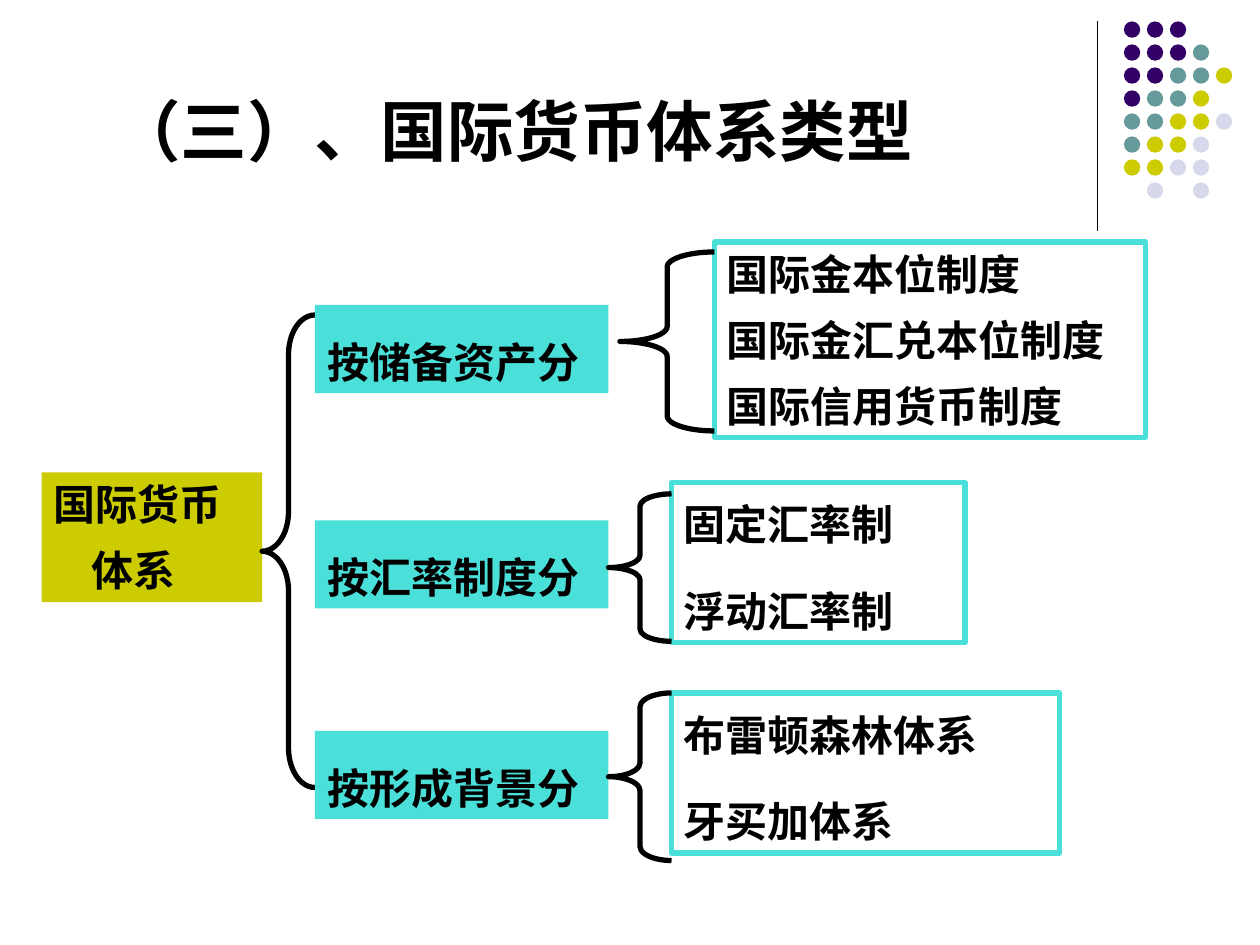
from lxml import etree
from pptx import Presentation
from pptx.dml.color import RGBColor
from pptx.enum.shapes import MSO_CONNECTOR, MSO_SHAPE
from pptx.enum.text import MSO_ANCHOR, MSO_AUTO_SIZE, PP_ALIGN
from pptx.oxml.ns import qn
from pptx.util import Inches, Pt

RECT, OVAL, BRACE = MSO_SHAPE.RECTANGLE, MSO_SHAPE.OVAL, MSO_SHAPE.LEFT_BRACE
STRAIGHT = MSO_CONNECTOR.STRAIGHT
TOP, BOTTOM = MSO_ANCHOR.TOP, MSO_ANCHOR.BOTTOM
GROW = MSO_AUTO_SIZE.SHAPE_TO_FIT_TEXT
LEFT, JUSTIFY = PP_ALIGN.LEFT, PP_ALIGN.JUSTIFY

BLACK = RGBColor(0x00, 0x00, 0x00)
PURPLE = RGBColor(0x33, 0x00, 0x66)
TEAL = RGBColor(0x66, 0x99, 0x99)
OLIVE = RGBColor(0xCC, 0xCC, 0x00)
LAVENDER = RGBColor(0xD8, 0xD8, 0xEC)
TURQUOISE = RGBColor(0x4A, 0xE0, 0xD9)

CJK_FONT = "Noto Sans CJK SC"
BODY_FONT = "Times New Roman"
DOT_COLORS = {"P": PURPLE, "T": TEAL, "O": OLIVE, "L": LAVENDER}
DOT_ROWS = ["PPP", "PPPT", "PPTTO", "PTTO", "TTOOL", "TOOL", "OOLL", ".L.L"]
BRANCHES = [
    ("按储备资产分", 2.42, (5.67, 1.92, 3.42, 1.55), (4.92, 2, 0.75, 1.42),
     ["国际金本位制度", "国际金汇兑本位制度", "国际信用货币制度"], 1, 9),
    ("按汇率制度分", 4.13, (5.33, 3.83, 2.33, 1.27), (4.83, 3.92, 0.5, 1.17),
     ["固定汇率制", "浮动汇率制"], 1.2, 15),
    ("按形成背景分", 5.8, (5.33, 5.5, 3.08, 1.27), (4.83, 5.5, 0.5, 1.33),
     ["布雷顿森林体系", "牙买加体系"], 1.2, 15),
]


class Deck:
    """Holds the shared style and the current slide."""

    def __init__(self):
        self.prs = Presentation()
        self.prs.slide_width, self.prs.slide_height = Inches(10), Inches(7.5)
        self.s = self.prs.slides.add_slide(self.prs.slide_layouts[6])

    def shape(self, kind, box, fill=None, line=None):
        sp = self.s.shapes.add_shape(kind, *map(Inches, box))
        sp.shadow.inherit = False
        if fill is None:
            sp.fill.background()
        else:
            sp.fill.solid()
            sp.fill.fore_color.rgb = fill
        if line is None:
            sp.line.fill.background()
        else:
            sp.line.color.rgb = line
            sp.line.width = Pt(3)
        return sp

    def text(self, tf, lines, size=24, font=BODY_FONT, align=JUSTIFY, spacing=1, before=0):
        tf.word_wrap = True
        for i, line in enumerate(lines):
            p = tf.paragraphs[0] if i == 0 else tf.add_paragraph()
            p.text = line
            p.alignment, p.line_spacing, p.space_before = align, spacing, Pt(before)
            p.font.name, p.font.size, p.font.bold = font, Pt(size), True
            p.font.color.rgb = BLACK
            def_rpr = p._p.pPr.find(qn("a:defRPr"))
            etree.SubElement(def_rpr, qn("a:ea"), typeface=CJK_FONT)

    def title(self, text, box):
        tf = self.s.shapes.add_textbox(*map(Inches, box)).text_frame
        tf.vertical_anchor = BOTTOM
        self.text(tf, [text], size=38, font=CJK_FONT, align=LEFT)

    def box(self, box, lines, fill=None, line=None, spacing=1, before=9):
        tf = self.shape(RECT, box, fill, line).text_frame
        tf.vertical_anchor = TOP
        tf.auto_size = GROW
        self.text(tf, lines, spacing=spacing, before=before)
        return tf

    def brace(self, box):
        sp = self.shape(BRACE, box, line=BLACK)
        sp.adjustments[0] = box[3] / 12 / box[2]

    def rule(self, x, top, bottom):
        c = self.s.shapes.add_connector(STRAIGHT, *map(Inches, (x, top, x, bottom)))
        c.line.color.rgb = BLACK
        c.line.width = Pt(0.75)
        etree.SubElement(c._element.spPr, qn("a:effectLst"))

    def dots(self, left, top, pitch, size):
        for row, codes in enumerate(DOT_ROWS):
            for col, code in enumerate(codes):
                if code in DOT_COLORS:
                    at = (left + col * pitch, top + row * pitch, size, size)
                    self.shape(OVAL, at, DOT_COLORS[code])


def main():
    deck = Deck()
    deck.rule(8.71, 0.17, 1.83)
    deck.dots(8.92, 0.17, 0.73 / 4, 0.13)
    deck.title("（三）、国际货币体系类型", (0.81, 0.36, 7.79, 1.04))
    root = deck.box((0.33, 3.75, 1.75, 1.03), ["国际货币", "体系"], OLIVE)
    root.paragraphs[1]._p.pPr.set("indent", str(Inches(0.3)))
    deck.brace((2.08, 2.5, 0.42, 3.75))
    for label, top, box, brace, items, spacing, before in BRANCHES:
        deck.box((2.5, top, 2.33, 0.7), [label], TURQUOISE, spacing=1.5, before=15)
        deck.box(box, items, line=TURQUOISE, spacing=spacing, before=before)
        deck.brace(brace)
    deck.prs.save("out.pptx")


if __name__ == "__main__":
    main()
